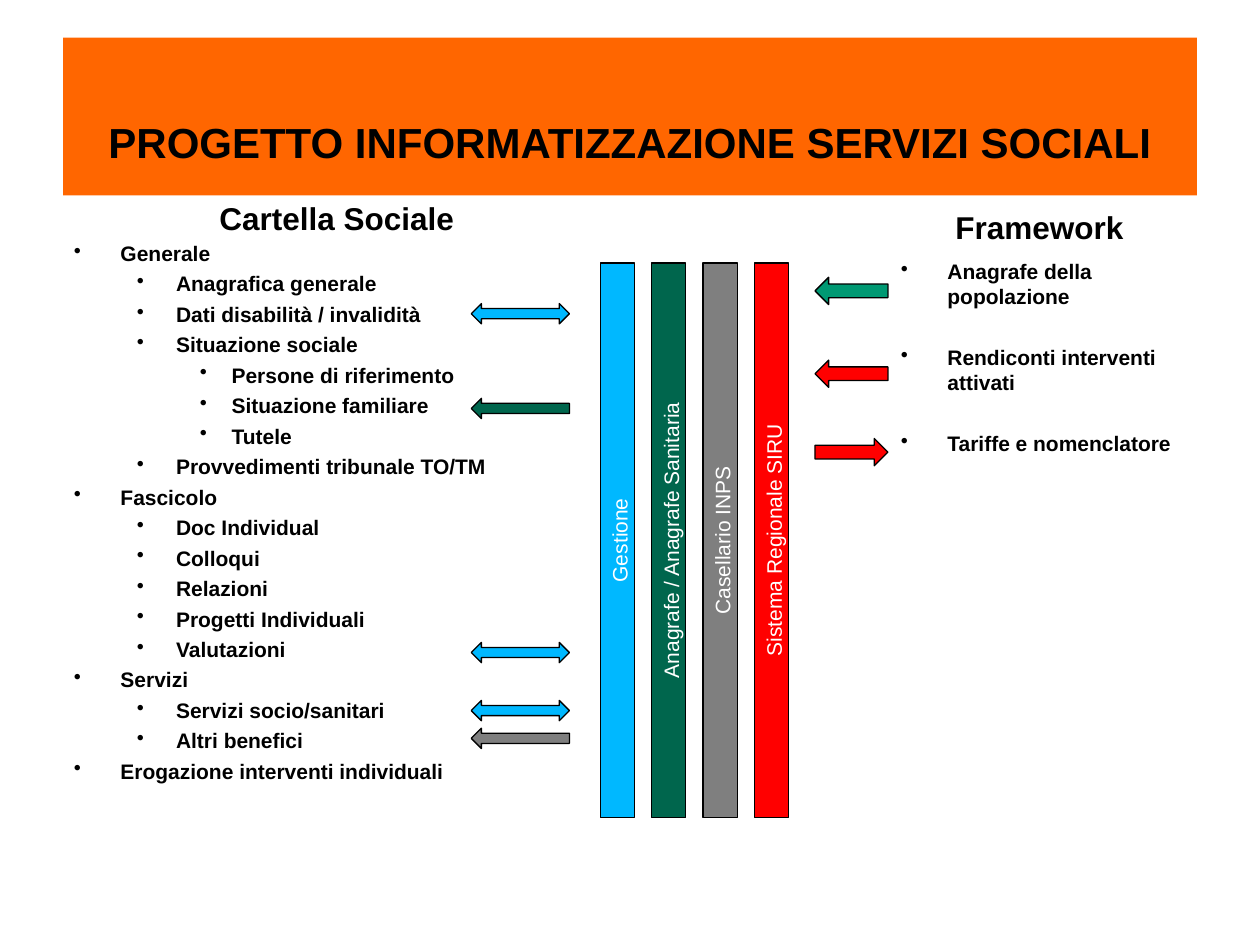
from lxml import etree
from pptx import Presentation
from pptx.dml.color import RGBColor
from pptx.enum import shapes, text
from pptx.oxml.ns import qn
from pptx.util import Cm, Pt

BLACK = RGBColor(0, 0, 0)
WHITE = RGBColor(255, 255, 255)
ORANGE = RGBColor(0xFF, 0x66, 0x00)
BLUE = RGBColor(0x00, 0xB8, 0xFF)
GREEN = RGBColor(0x00, 0x66, 0x4D)
MINT = RGBColor(0x00, 0x99, 0x73)
GREY = RGBColor(0x7F, 0x7F, 0x7F)
RED = RGBColor(255, 0, 0)

KIND = shapes.MSO_SHAPE
BOTH, LEFT, RIGHT = KIND.LEFT_RIGHT_ARROW, KIND.LEFT_ARROW, KIND.RIGHT_ARROW
CENTER = text.PP_ALIGN.CENTER
FRAME = dict(word_wrap=True, auto_size=text.MSO_AUTO_SIZE.NONE,
             vertical_anchor=text.MSO_ANCHOR.TOP, margin_left=Cm(0.25),
             margin_right=Cm(0.25), margin_top=Cm(0.13), margin_bottom=Cm(0.13))
BODY = dict(name="Arial", size=Pt(12), bold=True)
HEAD = dict(BODY, size=Pt(18))
TITLE = dict(BODY, size=Pt(24))
LABEL = dict(BODY, bold=False)
INDENTS = [(0.94, -0.94), (2.06, -0.79), (3.18, -0.64)]

FOLDER = [
    (0, "Generale"), (1, "Anagrafica generale"),
    (1, "Dati disabilità / invalidità"), (1, "Situazione sociale"),
    (2, "Persone di riferimento"), (2, "Situazione familiare"),
    (2, "Tutele"), (1, "Provvedimenti tribunale TO/TM"),
    (0, "Fascicolo"), (1, "Doc Individual"), (1, "Colloqui"),
    (1, "Relazioni"), (1, "Progetti Individuali"), (1, "Valutazioni"),
    (0, "Servizi"), (1, "Servizi socio/sanitari"), (1, "Altri benefici"),
    (0, "Erogazione interventi individuali"),
]
FOLDER_ARROWS = [(2.23, BOTH, BLUE), (4.14, LEFT, GREEN), (9.06, BOTH, BLUE),
                 (10.23, BOTH, BLUE), (10.79, LEFT, GREY)]
WORK = [(0, "Anagrafe della popolazione"),
        (0, "Rendiconti interventi attivati"), (0, "Tariffe e nomenclatore")]
WORK_ARROWS = [(1.53, LEFT, MINT), (3.2, LEFT, RED), (4.78, RIGHT, RED)]
BARS = [("Gestione", BLUE), ("Anagrafe / Anagrafe Sanitaria", GREEN),
        ("Casellario INPS", GREY), ("Sistema Regionale SIRU", RED)]


def apply(item, form):
    """Set each attribute of the item from a dict."""
    for key, value in form.items():
        setattr(item, key, value)


def write(para, words, form, color=BLACK, align=CENTER):
    """Fill one paragraph with formatted words."""
    para.text = words
    para.alignment = align
    apply(para.font, form)
    para.font.color.rgb = color


def draw(slide, kind, box, color):
    """Add a filled shape with a thin black outline."""
    shape = slide.shapes.add_shape(kind, *map(Cm, box))
    shape.shadow.inherit = False
    shape.fill.solid()
    shape.fill.fore_color.rgb = color
    shape.line.color.rgb = BLACK
    shape.line.width = Pt(0.75)
    return shape


def add_text(slide, box):
    """Add a text box and return its frame."""
    frame = slide.shapes.add_textbox(*map(Cm, box)).text_frame
    apply(frame, FRAME)
    return frame


def add_list(slide, box, items, gap):
    """Add a bullet list with levels and an even gap."""
    frame = add_text(slide, box)
    for n, (level, words) in enumerate(items):
        para = frame.add_paragraph() if n else frame.paragraphs[0]
        para.level = level
        props = para._p.get_or_add_pPr()
        margin, indent = INDENTS[level]
        props.set("marL", str(Cm(margin)))
        props.set("indent", str(Cm(indent)))
        etree.SubElement(props, qn("a:buChar")).set("char", "•")
        write(para, words, BODY, align=text.PP_ALIGN.LEFT)
        para.space_before = Pt(gap if n else 0)


def add_title(slide, box):
    """Place the title on its orange band."""
    title = slide.shapes.title
    apply(title, dict(zip(("left", "top", "width", "height"), map(Cm, box))))
    title.fill.solid()
    title.fill.fore_color.rgb = ORANGE
    apply(title.text_frame, dict(FRAME, margin_top=Cm(1.14),
                                 vertical_anchor=text.MSO_ANCHOR.MIDDLE))
    write(title.text_frame.paragraphs[0],
          "PROGETTO INFORMATIZZAZIONE SERVIZI SOCIALI", TITLE)


def add_folder(slide, box):
    """Place the social record list and its arrows."""
    x, y, w, h = box
    add_list(slide, (x, y + 0.83, 9.04, h - 0.83), FOLDER, 3)
    head = add_text(slide, (x, y, w, 1.02))
    write(head.paragraphs[0], "Cartella Sociale", HEAD)
    for top, kind, color in FOLDER_ARROWS:
        draw(slide, kind, (x + 8.26, y + top, 1.98, 0.41), color)


def add_bars(slide, box):
    """Place the upright system bars at equal steps across the box."""
    x, y, w, h = box
    thick = 0.69
    step = (w - thick) / (len(BARS) - 1)
    for n, (words, color) in enumerate(BARS):
        left = x + n * step - (h - thick) / 2
        bar = draw(slide, KIND.RECTANGLE,
                   (left, y + (h - thick) / 2, h, thick), color)
        bar.rotation = 270
        apply(bar.text_frame, FRAME)
        write(bar.text_frame.paragraphs[0], words, LABEL, WHITE)


def add_work(slide, box):
    """Place the framework list and its arrows."""
    x, y, w, h = box
    head = add_text(slide, (x + 1.35, y, w - 1.35, 1.02))
    write(head.paragraphs[0], "Framework", HEAD)
    add_list(slide, (x + 1.48, y + 1.02, w - 1.48, h - 1.02), WORK, 20.5)
    for top, kind, color in WORK_ARROWS:
        draw(slide, kind, (x, y + top, 1.47, 0.55), color)


def main():
    """Build the slide and save it."""
    deck = Presentation()
    deck.slide_width, deck.slide_height = Cm(25.4), Cm(19.05)
    slide = deck.slides.add_slide(deck.slide_layouts[5])
    add_title(slide, (1.27, 0.76, 22.86, 3.18))
    add_folder(slide, (1.24, 3.89, 11.1, 12.84))
    add_bars(slide, (12.1, 5.3, 3.8, 11.18))
    add_work(slide, (16.43, 4.06, 7.7, 13.03))
    deck.save("out.pptx")


if __name__ == "__main__":
    main()
